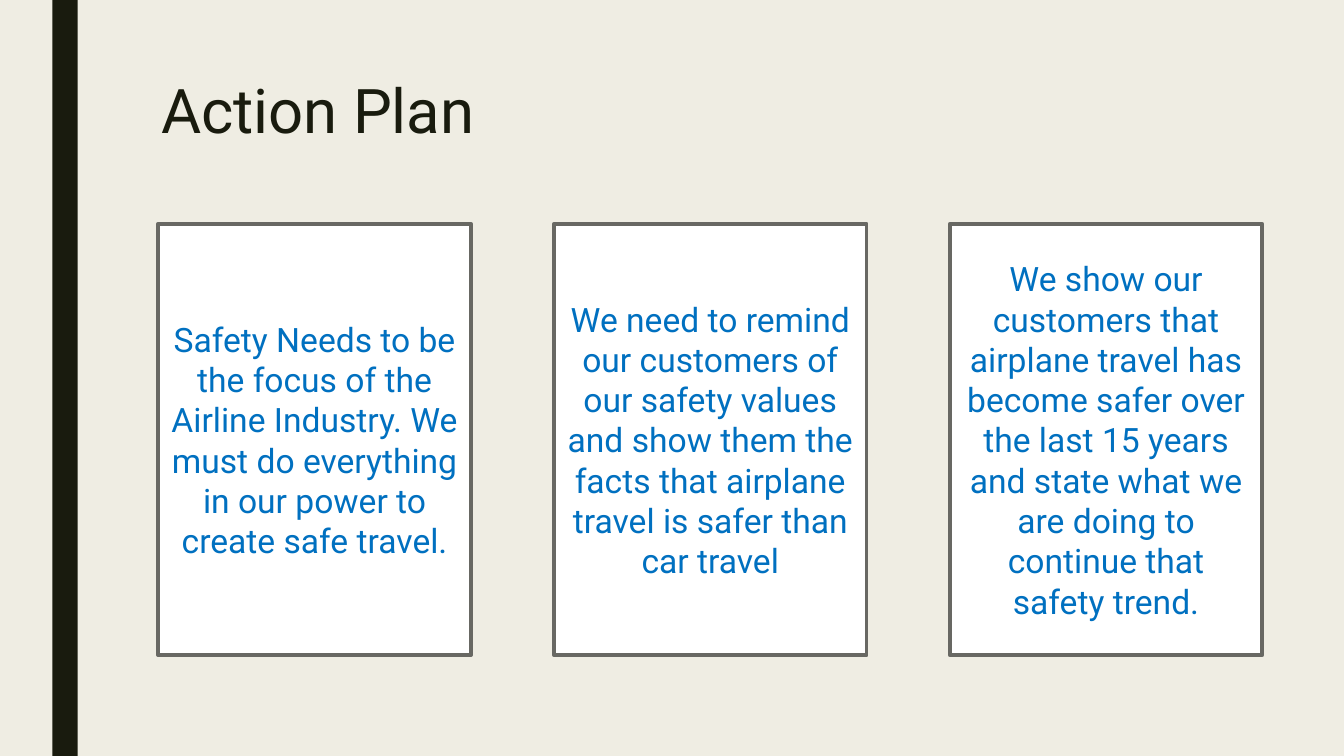
from pptx import Presentation
from pptx.dml.color import RGBColor
from pptx.enum.shapes import MSO_SHAPE
from pptx.enum.text import MSO_ANCHOR, PP_ALIGN
from pptx.util import Inches, Pt

RECT = MSO_SHAPE.RECTANGLE
TOP, MIDDLE = MSO_ANCHOR.TOP, MSO_ANCHOR.MIDDLE
LEFT, CENTER = PP_ALIGN.LEFT, PP_ALIGN.CENTER

COLORS = {
    "back": "EFEDE3",
    "dark": "191B0E",
    "card": "FFFFFF",
    "edge": "686863",
    "blue": "0070C0",
}
FONT = "Roboto"
STEPS = [
    "Safety Needs to be the focus of the Airline Industry. "
    "We must do everything in our power to create safe travel.",
    "We need to remind our customers of our safety values and show them "
    "the facts that airplane travel is safer than car travel",
    "We show our customers that airplane travel has become safer over the "
    "last 15 years and state what we are doing to continue that safety trend.",
]


def paint(name):
    """Return the named colour."""
    return RGBColor.from_string(COLORS[name])


def write(shape, text, size=24, color="blue", align=CENTER, anchor=MIDDLE,
          spacing=1.0):
    """Put formatted, wrapped text in a shape."""
    frame = shape.text_frame
    frame.word_wrap = True
    frame.vertical_anchor = anchor
    para = frame.paragraphs[0]
    para.alignment = align
    para.line_spacing = spacing
    run = para.add_run()
    run.text = text
    run.font.name = FONT
    run.font.size = Pt(size)
    run.font.color.rgb = paint(color)


def block(slide, box, fill, edge=None):
    """Draw a flat rectangle, with an outline if an edge colour is given."""
    shape = slide.shapes.add_shape(RECT, *map(Inches, box))
    shape.shadow.inherit = False
    shape.fill.solid()
    shape.fill.fore_color.rgb = paint(fill)
    if edge:
        shape.line.color.rgb = paint(edge)
        shape.line.width = Pt(2.75)
    else:
        shape.line.fill.background()
    return shape


def title(slide, box, text):
    """Place the slide title in its box."""
    shape = slide.shapes.add_textbox(*map(Inches, box))
    write(shape, text, size=44, color="dark", align=LEFT, anchor=TOP,
          spacing=0.89)


def cards(slide, box, texts, width=3.1):
    """Spread one card per text evenly across the box."""
    left, top, span, height = box
    pitch = (span - width) / (len(texts) - 1)
    for index, text in enumerate(texts):
        place = (left + index * pitch, top, width, height)
        write(block(slide, place, "card", "edge"), text)


def build():
    """Build and save the action plan slide."""
    deck = Presentation()
    deck.slide_width, deck.slide_height = Inches(13.33), Inches(7.5)
    slide = deck.slides.add_slide(deck.slide_layouts[6])
    slide.background.fill.solid()
    slide.background.fill.fore_color.rgb = paint("back")
    block(slide, (0.52, 0, 0.25, 7.5), "dark")
    title(slide, (1.5, 0.75, 10.5, 1.62), "Action Plan")
    cards(slide, (1.57, 2.22, 10.95, 4.28), STEPS)
    deck.save("out.pptx")


build()
